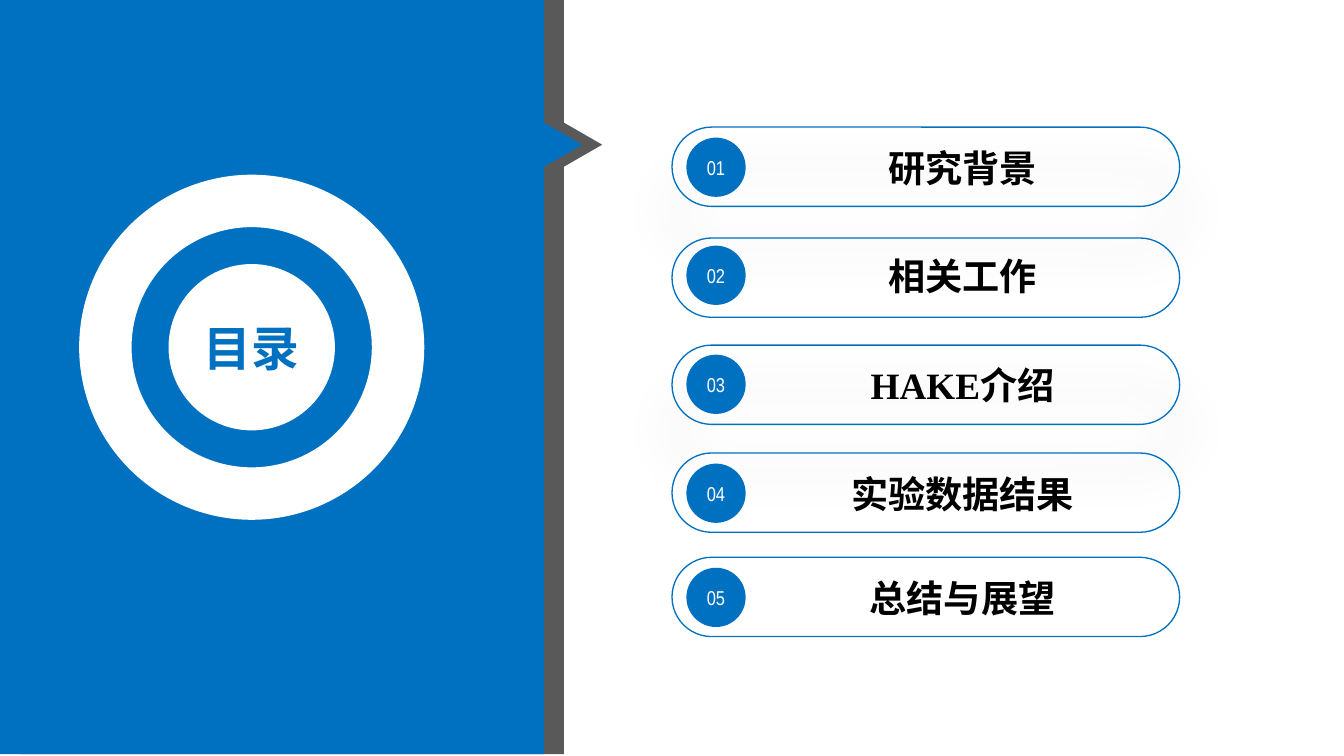
from dataclasses import dataclass

from lxml import etree
from pptx import Presentation
from pptx.dml.color import RGBColor
from pptx.enum.shapes import MSO_SHAPE
from pptx.enum.text import MSO_ANCHOR, PP_ALIGN
from pptx.oxml.ns import qn
from pptx.util import Inches, Pt

RECT, PILL = MSO_SHAPE.RECTANGLE, MSO_SHAPE.ROUNDED_RECTANGLE
OVAL, DONUT = MSO_SHAPE.OVAL, MSO_SHAPE.DONUT
TRIANGLE = MSO_SHAPE.ISOSCELES_TRIANGLE
MIDDLE, CENTER = MSO_ANCHOR.MIDDLE, PP_ALIGN.CENTER

WIDTH, HEIGHT = Inches(14.06), Inches(7.91)
CELL = WIDTH / 100  # square grid, 100 columns wide


@dataclass(frozen=True)
class Theme:
    blue: str = "0070C0"
    grey: str = "595959"
    white: str = "FFFFFF"
    black: str = "000000"
    narrow: str = "Arial Narrow"
    serif: str = "Times New Roman"
    cjk: str = "Noto Sans CJK SC"
    number: float = 15.1
    item: float = 28
    title: float = 36


THEME = Theme()

# pill row, disc row, label, label font, soft shadow
ITEMS = [
    (9.46, 10.24, "研究背景", THEME.cjk, True),
    (17.71, 18.28, "相关工作", THEME.cjk, False),
    (25.68, 26.39, "HAKE介绍", THEME.serif, True),
    (33.71, 34.5, "实验数据结果", THEME.cjk, False),
    (41.47, 42.25, "总结与展望", THEME.cjk, False),
]
PILL_LEFT, PILL_W, PILL_H = 50, 37.77, 5.9
DISC_LEFT, DISC = 51.07, 4.41
LABEL_LEFT, LABEL_W, LABEL_H = 58.46, 26.32, 3.34
BAND_TOP, BAND_W, BAND_SHIFT = -0.14, 40.47, 1.49
POINTER_LEFT, POINTER_TOP, POINTER_W, POINTER_H = 40.26, 9.35, 3.27, 2.84
HUB_X, HUB_Y, HUB, RING = 18.73, 25.84, 12.38, 25.68


def cells(*values):
    return [round(v * CELL) for v in values]


def add_shape(s, kind, box, fill=None, line=None):
    sp = s.shapes.add_shape(kind, *cells(*box))
    sp.shadow.inherit = False
    if fill:
        sp.fill.solid()
        sp.fill.fore_color.rgb = RGBColor.from_string(fill)
    else:
        sp.fill.background()
    if line:
        sp.line.color.rgb = RGBColor.from_string(line)
        sp.line.width = Pt(1)
    else:
        sp.line.fill.background()
    return sp


def add_circle(s, kind, x, y, size, fill):
    """Place a round shape by its centre."""
    return add_shape(s, kind, (x - size / 2, y - size / 2, size, size), fill)


def write(sp, text, font, size, color, bold=False, insets=(0.08, 0.04)):
    tf = sp.text_frame
    tf.word_wrap = True
    tf.vertical_anchor = MIDDLE
    tf.margin_left = tf.margin_right = Inches(insets[0])
    tf.margin_top = tf.margin_bottom = Inches(insets[1])
    p = tf.paragraphs[0]
    p.alignment = CENTER
    r = p.add_run()
    r.text = text
    r.font.name, r.font.size, r.font.bold = font, Pt(size), bold
    r.font.color.rgb = RGBColor.from_string(color)
    latin = r.font._element.find(qn("a:latin"))
    east_asian = etree.Element(qn("a:ea"), typeface=THEME.cjk)
    latin.addnext(east_asian)


def add_soft_shadow(sp):
    effects = sp._element.spPr.find(qn("a:effectLst"))
    shadow = etree.SubElement(
        effects, qn("a:outerShdw"), blurRad=str(Pt(33)), dist=str(Pt(33)),
        dir="5400000", algn="t", rotWithShape="0")
    color = etree.SubElement(shadow, qn("a:srgbClr"), val=THEME.black)
    etree.SubElement(color, qn("a:alpha"), val="43000")


def add_item(s, number, pill_top, disc_top, text, font, shaded):
    pill = add_shape(s, PILL, (PILL_LEFT, pill_top, PILL_W, PILL_H),
                     line=THEME.blue)
    pill.adjustments[0] = 0.5
    if shaded:
        add_soft_shadow(pill)
    disc = add_shape(s, OVAL, (DISC_LEFT, disc_top, DISC, DISC), THEME.blue)
    write(disc, f"{number:02}", THEME.narrow, THEME.number, THEME.white)
    label_top = disc_top + (DISC - LABEL_H) / 2
    label = s.shapes.add_textbox(
        *cells(LABEL_LEFT, label_top, LABEL_W, LABEL_H))
    write(label, text, font, THEME.item, THEME.black, True, (0, 0))


def add_band(s, shift, color):
    """Draw a side band with its pointer, moved right by shift."""
    pointer = add_shape(s, TRIANGLE, (POINTER_LEFT + shift, POINTER_TOP,
                                      POINTER_W, POINTER_H), color)
    pointer.rotation = 90
    add_shape(s, RECT, (shift, BAND_TOP, BAND_W, HEIGHT / CELL), color)


def add_title(s):
    hub = add_circle(s, OVAL, HUB_X, HUB_Y, HUB, THEME.white)
    write(hub, "目录", THEME.narrow, THEME.title, THEME.blue, True)
    ring = add_circle(s, DONUT, HUB_X, HUB_Y, RING, THEME.white)
    ring.adjustments[0] = 0.152


def main():
    prs = Presentation()
    prs.slide_width, prs.slide_height = WIDTH, HEIGHT
    s = prs.slides.add_slide(prs.slide_layouts[6])
    for number, item in enumerate(ITEMS, 1):
        add_item(s, number, *item)
    add_band(s, BAND_SHIFT, THEME.grey)
    add_band(s, 0, THEME.blue)
    add_title(s)
    prs.save("out.pptx")


if __name__ == "__main__":
    main()
